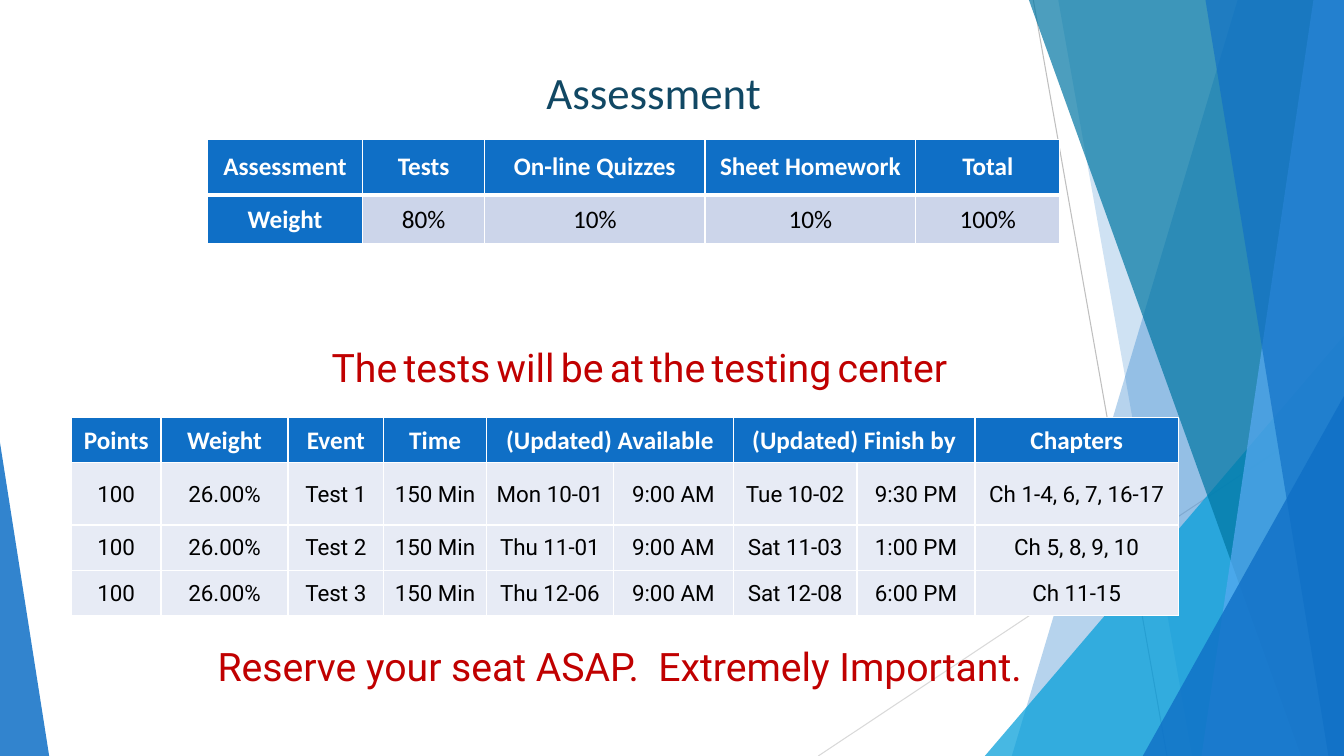
from lxml import etree
from pptx import Presentation
from pptx import util as u
from pptx.dml.color import RGBColor
from pptx.enum import shapes, text
from pptx.oxml.ns import qn

# Content
TITLE = "Assessment"
TESTS_LINE = "The tests will be at the testing center"
RESERVE_LINE = "Reserve your seat ASAP.  Extremely Important. "
WEIGHTS = [
    ["Assessment", "Tests", "On-line Quizzes", "Sheet Homework", "Total"],
    ["Weight", "80%", "10%", "10%", "100%"],
]
# None continues the header cell to its left
SCHEDULE = [
    ["Points", "Weight", "Event", "Time", "(Updated) Available", None,
     "(Updated) Finish by", None, "Chapters"],
    ["100", "26.00%", "Test 1", "150 Min", "Mon 10-01", "9:00 AM",
     "Tue 10-02", "9:30 PM", "Ch 1-4, 6, 7, 16-17"],
    ["100", "26.00%", "Test 2", "150 Min", "Thu 11-01", "9:00 AM",
     "Sat 11-03", "1:00 PM", "Ch 5, 8, 9, 10"],
    ["100", "26.00%", "Test 3", "150 Min", "Thu 12-06", "9:00 AM",
     "Sat 12-08", "6:00 PM", "Ch 11-15"],
]

# Layout in centimetres
WIDTH, HEIGHT = 33.87, 19.05
BLUE, WHITE, BLACK, RED = "0F6FC6", "FFFFFF", "000000", "C00000"
THIN_LINES = [
    ((26.04, 0), (29.41, HEIGHT), "BFBFBF"),
    ((WIDTH, 10.24), (20.62, HEIGHT), "D9D9D9"),
]
# Band: left edge at top and bottom; triangle: left, top, width, apex
FACETS = [
    ("band", (31.19, 25.5), BLUE, 30),
    ("band", (26.67, 30.05), BLUE, 20),
    ("triangle", (24.82, 8.46, 9.05, 1), "009DD9", 72),
    ("band", (25.93, 32.79), "0076A3", 70),
    ("band", (33.1, 30.28), "59AAF2", 70),
    ("band", (30.38, 33.48), BLUE, 65),
    ("triangle", (28.8, 9.98, 5.07, 1), BLUE, 80),
    ("triangle", (0, 11.15, 1.24, 0), BLUE, 85),
]


def color(value):
    return RGBColor.from_string(value)


def style(span, size, font, value, bold=False):
    span.font.size, span.font.name, span.font.bold = u.Pt(size), font, bold
    span.font.color.rgb = color(value)


def add_facet(kind, geometry, fill, opacity):
    if kind == "band":
        top_x, bottom_x = geometry
        builder = slide.shapes.build_freeform(u.Cm(top_x), u.Cm(0))
        corners = [(WIDTH, 0), (WIDTH, HEIGHT), (bottom_x, HEIGHT)]
        builder.add_line_segments([(u.Cm(x), u.Cm(y)) for x, y in corners])
        facet = builder.convert_to_shape()
    else:
        left, top, width, apex = geometry
        facet = slide.shapes.add_shape(
            shapes.MSO_SHAPE.ISOSCELES_TRIANGLE, u.Cm(left), u.Cm(top),
            u.Cm(width), u.Cm(HEIGHT - top))
        facet.adjustments[0] = apex
    facet.shadow.inherit = False
    facet.line.fill.background()
    facet.fill.solid()
    facet.fill.fore_color.rgb = color(fill)
    shade = facet._element.spPr.find(".//" + qn("a:srgbClr"))
    etree.SubElement(shade, qn("a:alpha")).set("val", str(opacity * 1000))


def style_cell(cell, fill, margins, bottom):
    cell.fill.solid()
    cell.fill.fore_color.rgb = color(fill)
    cell.vertical_anchor = text.MSO_ANCHOR.MIDDLE
    cell.margin_left = cell.margin_right = u.Cm(margins[0])
    cell.margin_top, cell.margin_bottom = u.Cm(margins[1]), 0
    properties = cell._tc.get_or_add_tcPr()
    for index, side in enumerate(("lnL", "lnR", "lnT", "lnB")):
        points = bottom if side == "lnB" else 1
        line = etree.Element(qn("a:" + side), w=str(u.Pt(points)))
        solid = etree.SubElement(line, qn("a:solidFill"))
        etree.SubElement(solid, qn("a:srgbClr")).set("val", WHITE)
        properties.insert(index, line)


def add_table(rows, left, top, widths, heights, body_fill, body_font,
              margins, head_column=False, head_rule=1):
    table = slide.shapes.add_table(
        len(rows), len(widths), u.Cm(left), u.Cm(top),
        u.Cm(sum(widths)), u.Cm(sum(heights))).table
    for column, width in zip(table.columns, widths):
        column.width = u.Cm(width)
    for row, height in zip(table.rows, heights):
        row.height = u.Cm(height)
    for r, values in enumerate(rows):
        for c, value in enumerate(values):
            cell = table.cell(r, c)
            head = r == 0 or (head_column and c == 0)
            style_cell(cell, BLUE if head else body_fill, margins,
                       head_rule if r == 0 else 1)
            if value is None:
                table.cell(r, c - 1).merge(cell)
                continue
            cell.text = value
            para = cell.text_frame.paragraphs[0]
            para.alignment = text.PP_ALIGN.CENTER
            if head:
                style(para.runs[0], 18, "Calibri", WHITE, True)
            else:
                style(para.runs[0], *body_font, BLACK)


def add_notice(left, top, width, height):
    box = slide.shapes.add_textbox(
        u.Cm(left), u.Cm(top), u.Cm(width), u.Cm(height))
    box.text_frame.word_wrap = True
    box.text_frame.auto_size = text.MSO_AUTO_SIZE.SHAPE_TO_FIT_TEXT
    para = box.text_frame.paragraphs[0]
    para.alignment = text.PP_ALIGN.CENTER
    return para


deck = Presentation()
deck.slide_width, deck.slide_height = u.Cm(WIDTH), u.Cm(HEIGHT)
slide = deck.slides.add_slide(deck.slide_layouts[5])

# Faceted background
for start, end, tint in THIN_LINES:
    line = slide.shapes.add_connector(
        shapes.MSO_CONNECTOR.STRAIGHT, *map(u.Cm, start + end))
    line.line.color.rgb = color(tint)
    line.line.width = u.Pt(0.75)
    etree.SubElement(line._element.spPr, qn("a:effectLst"))
for facet_data in FACETS:
    add_facet(*facet_data)

# Title
title = slide.shapes.title
title.left, title.top = u.Cm(9.25), u.Cm(1.5)
title.width, title.height = u.Cm(14.45), u.Cm(1.63)
title.text_frame.text = TITLE
title.text_frame.auto_size = text.MSO_AUTO_SIZE.NONE
title.text_frame.paragraphs[0].alignment = text.PP_ALIGN.CENTER
style(title.text_frame.paragraphs[0].runs[0], 32, "Calibri", "114864")

# Tables
add_table(WEIGHTS, 5.23, 3.51, [3.91, 3.07, 5.56, 5.31, 3.63], [1.4, 1.24],
          "CCD5EA", (18, "Calibri"), (0.18, 0), head_column=True, head_rule=3)
add_table(SCHEDULE, 1.8, 10.52,
          [2.26, 3.2, 2.41, 2.59, 3.2, 3.02, 3.12, 2.97, 5.13],
          [1.14, 1.57, 1.14, 1.14], "E7EBF5", (16, "Roboto"), (0.03, 0.03))

# Notices, the second with narrower spaces between its words
reserve = add_notice(3.99, 16.05, 23.5, 1.45)
reserve.text = RESERVE_LINE
style(reserve.runs[0], 28, "Roboto", RED)

tests = add_notice(5.23, 8.53, 21.77, 1.45)
for position, word in enumerate(TESTS_LINE.split()):
    if position:
        gap = tests.add_run()
        gap.text = " "
        style(gap, 18, "Roboto", BLACK)
    span = tests.add_run()
    span.text = word
    style(span, 28, "Roboto", RED)

deck.save("out.pptx")
